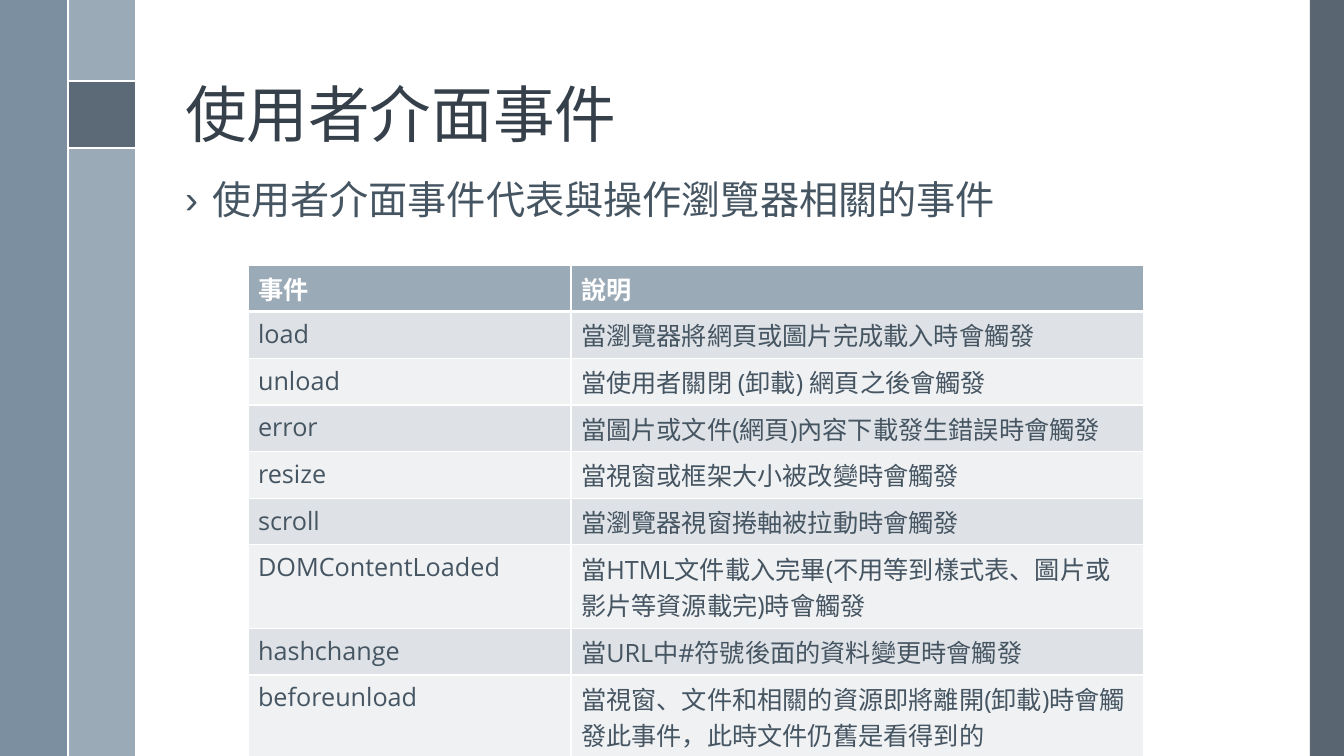
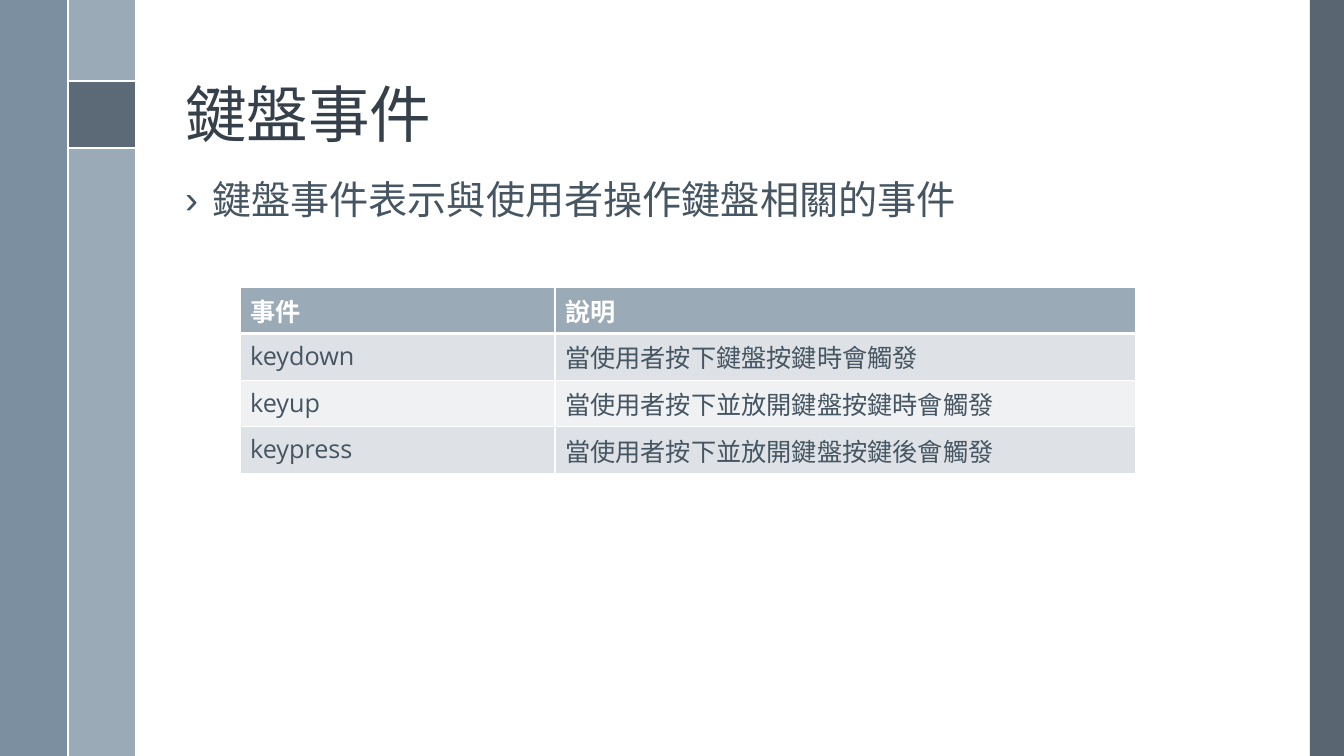
import pptx
import pptx.dml.color
import pptx.enum.shapes
import pptx.enum.text
import pptx.oxml
import pptx.oxml.ns
import pptx.util

RGBColor = pptx.dml.color.RGBColor
WHITE = RGBColor(0xFF, 0xFF, 0xFF)
TITLE_INK = RGBColor(0x35, 0x40, 0x4A)
BODY_INK = RGBColor(0x46, 0x55, 0x62)
SLATE = RGBColor(0x47, 0x55, 0x62)
STEEL = RGBColor(0x6A, 0x80, 0x93)
MIST = RGBColor(0x9B, 0xAA, 0xB7)
ROW_DARK = RGBColor(0xDE, 0xE2, 0xE6)
ROW_LIGHT = RGBColor(0xEF, 0xF1, 0xF3)

CJK_FONT = "Noto Sans CJK TC"
LATIN_FONT = "Open Sans"
PIXEL = 914400 / 100.8
WIDTH, HEIGHT = 1344, 756
ROW_HEIGHT = 41
FRAMES = {0: (175, 19, 1079, 137), 1: (175, 176, 1079, 504)}  # title, body

# left, top, width, height, colour, opacity in percent
BANDS = [
    (1310, 0, 34, HEIGHT, SLATE, 90),
    (68, 0, 67, HEIGHT, MIST, 100),
    (0, 0, 68, HEIGHT, STEEL, 88),
    (68, 81, 67, 67, SLATE, 75),
]
RULES = [(68, 81, 135, 81), (68, 148, 135, 148), (68, 0, 68, HEIGHT)]

TITLE_FORMAT = {"name": CJK_FONT, "size": pptx.util.Pt(44), "color": TITLE_INK}
BODY_FORMAT = {"name": CJK_FONT, "size": pptx.util.Pt(28), "color": BODY_INK}
CELL_FORMAT = {"name": LATIN_FONT, "size": pptx.util.Pt(18), "color": BODY_INK, "bold": False}
HEADER_FORMAT = CELL_FORMAT | {"color": WHITE, "bold": True}

HEADER = ("事件", "說明")
PAGES = [
    {
        "title": "使用者介面事件",
        "body": "使用者介面事件代表與操作瀏覽器相關的事件",
        "corner": (248, 265),
        "columns": (323, 573),
        "rows": [
            ("load", "當瀏覽器將網頁或圖片完成載入時會觸發"),
            ("unload", "當使用者關閉 (卸載) 網頁之後會觸發"),
            ("error", "當圖片或文件(網頁)內容下載發生錯誤時會觸發"),
            ("resize", "當視窗或框架大小被改變時會觸發"),
            ("scroll", "當瀏覽器視窗捲軸被拉動時會觸發"),
            ("DOMContentLoaded", "當HTML文件載入完畢(不用等到樣式表、圖片或影片等資源載完)時會觸發"),
            ("hashchange", "當URL中#符號後面的資料變更時會觸發"),
            ("beforeunload", "當視窗、文件和相關的資源即將離開(卸載)時會觸發此事件，此時文件仍舊是看得到的"),
        ],
    },
    {
        "title": "鍵盤事件",
        "body": "鍵盤事件表示與使用者操作鍵盤相關的事件",
        "corner": (240, 287),
        "columns": (315, 581),
        "rows": [
            ("keydown", "當使用者按下鍵盤按鍵時會觸發"),
            ("keyup", "當使用者按下並放開鍵盤按鍵時會觸發"),
            ("keypress", "當使用者按下並放開鍵盤按鍵後會觸發"),
        ],
    },
]


def pixels(*lengths):
    """Turn pixel lengths into a list of EMU lengths."""
    return [pptx.util.Emu(round(length * PIXEL)) for length in lengths]


def write(text_frame, text, text_format):
    """Write one formatted run and return its paragraph."""
    paragraph = text_frame.paragraphs[0]
    run = paragraph.add_run()
    run.text = text
    for name, value in text_format.items():
        if name == "color":
            run.font.color.rgb = value
        else:
            setattr(run.font, name, value)
    east_asian = pptx.oxml.ns.qn("a:ea")
    run.font._element.append(run.font._element.makeelement(east_asian, {"typeface": CJK_FONT}))
    return paragraph


presentation = pptx.Presentation()
presentation.slide_width, presentation.slide_height = pixels(WIDTH, HEIGHT)
namespace = pptx.oxml.ns.nsdecls("a")

# Layout: only the title and body placeholders stay
layout = presentation.slide_layouts[1]
for placeholder in list(layout.placeholders):
    index = placeholder.placeholder_format.idx
    if index in FRAMES:
        for side, length in zip(("left", "top", "width", "height"), pixels(*FRAMES[index])):
            setattr(placeholder, side, length)
    else:
        layout.shapes.element.remove(placeholder.element)

slides = [presentation.slides.add_slide(layout) for page in PAGES]

# Bands and rules are drawn once, then moved behind the layout's placeholders
shapes = slides[0].shapes
decorations = []
for *box, color, opacity in BANDS:
    band = shapes.add_shape(pptx.enum.shapes.MSO_SHAPE.RECTANGLE, *pixels(*box))
    band.shadow.inherit = False
    band.line.fill.background()
    band.fill.solid()
    band.fill.fore_color.rgb = color
    if opacity < 100:
        solid_color = band.element.spPr.find(".//" + pptx.oxml.ns.qn("a:srgbClr"))
        solid_color.append(pptx.oxml.parse_xml(f'<a:alpha {namespace} val="{opacity * 1000}"/>'))
    decorations.append(band)
for ends in RULES:
    rule = shapes.add_connector(pptx.enum.shapes.MSO_CONNECTOR.STRAIGHT, *pixels(*ends))
    rule.line.color.rgb = WHITE
    rule.line.width = pptx.util.Pt(1.5)
    rule.element.spPr.append(pptx.oxml.parse_xml(f"<a:effectLst {namespace}/>"))
    decorations.append(rule)
for position, decoration in enumerate(decorations, start=2):
    layout.shapes.element.insert(position, decoration.element)

for slide, page in zip(slides, PAGES):
    title_frame = slide.shapes.title.text_frame
    body_frame = slide.placeholders[1].text_frame
    title = write(title_frame, page["title"], TITLE_FORMAT)
    body = write(body_frame, page["body"], BODY_FORMAT)
    title_frame.vertical_anchor = pptx.enum.text.MSO_ANCHOR.BOTTOM
    body_frame.vertical_anchor = pptx.enum.text.MSO_ANCHOR.TOP
    for frame, paragraph in ((title_frame, title), (body_frame, body)):
        frame.auto_size = pptx.enum.text.MSO_AUTO_SIZE.NONE
        paragraph.alignment = pptx.enum.text.PP_ALIGN.LEFT
        paragraph.line_spacing = 0.9
    body.space_before = pptx.util.Pt(14)
    properties = body._p.get_or_add_pPr()
    indent = pixels(27)[0]
    properties.set("marL", str(indent))
    properties.set("indent", str(-indent))
    properties.append(pptx.oxml.parse_xml(f'<a:buChar {namespace} char="›"/>'))

    # Event table
    rows = [HEADER] + page["rows"]
    size = (sum(page["columns"]), ROW_HEIGHT * len(rows))
    table = slide.shapes.add_table(len(rows), len(HEADER), *pixels(*page["corner"], *size)).table
    for column, width in zip(table.columns, pixels(*page["columns"])):
        column.width = width
    for row_index, texts in enumerate(rows):
        table.rows[row_index].height = pixels(ROW_HEIGHT)[0]
        is_header = row_index == 0
        fill_color = MIST if is_header else (ROW_LIGHT, ROW_DARK)[row_index % 2]
        borders = {
            "lnL": 1,
            "lnR": 1,
            "lnT": 3 if row_index == 1 else 1,
            "lnB": 3 if is_header else 1,
        }
        for column_index, text in enumerate(texts):
            cell = table.cell(row_index, column_index)
            write(cell.text_frame, text, HEADER_FORMAT if is_header else CELL_FORMAT)
            cell_properties = cell._tc.get_or_add_tcPr()
            for tag, points in borders.items():
                cell_properties.append(pptx.oxml.parse_xml(
                    f'<a:{tag} {namespace} w="{pptx.util.Pt(points)}"><a:solidFill>'
                    f'<a:srgbClr val="{WHITE}"/></a:solidFill></a:{tag}>'))
            cell.fill.solid()
            cell.fill.fore_color.rgb = fill_color

presentation.save("out.pptx")
